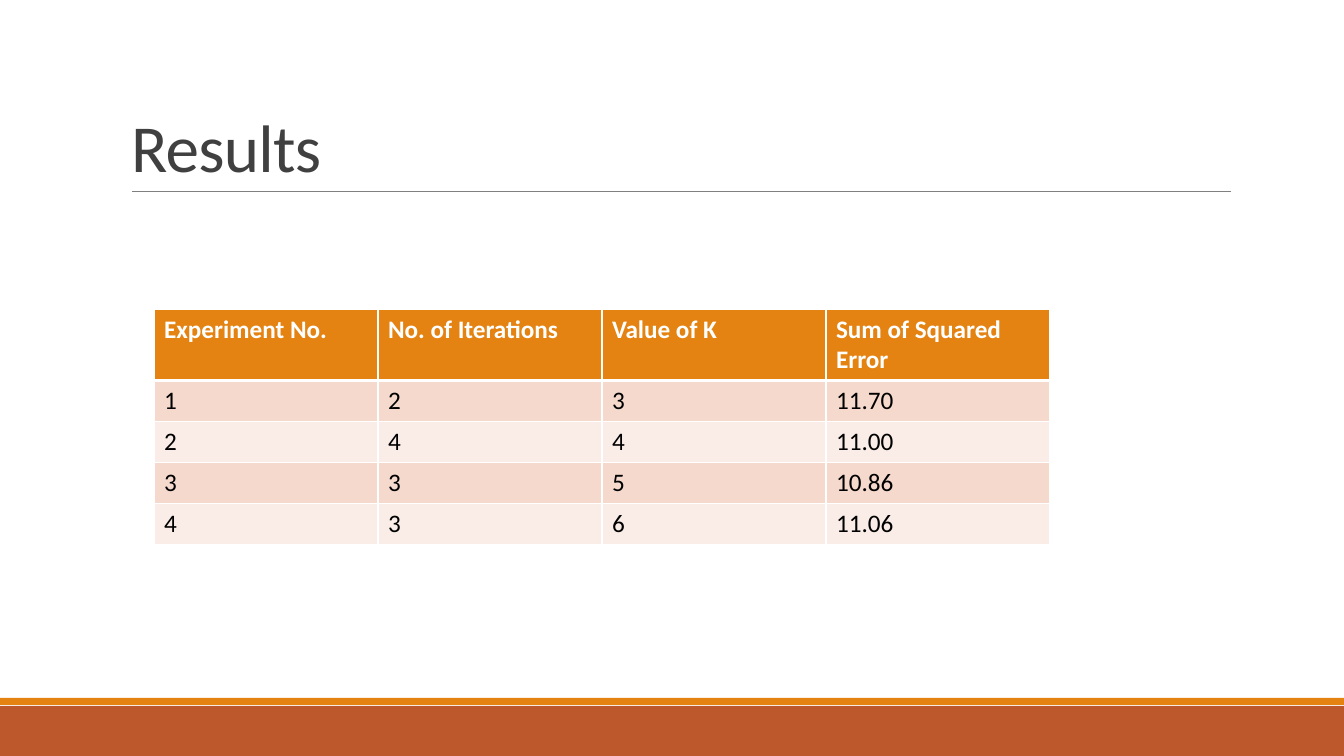
import pptx
import pptx.dml.color
import pptx.enum.shapes
import pptx.enum.text
import pptx.oxml
import pptx.oxml.ns
import pptx.util

PX = 12192000 / 1344  # EMU per px
FONT = "Calibri"
WHITE, ORANGE, RUST = "FFFFFF", "E48312", "BD582C"
BANDS = ("F5D9CC", "FAEDE7")

RESULTS = [
    ("Experiment No.", "No. of Iterations", "Value of K", "Sum of Squared Error"),
    ("1", "2", "3", "11.70"),
    ("2", "4", "4", "11.00"),
    ("3", "3", "5", "10.86"),
    ("4", "3", "6", "11.06"),
]


def px(length):
    return pptx.util.Emu(round(length * PX))


def color(hex_string):
    return pptx.dml.color.RGBColor.from_string(hex_string)


def add_span(para, text, size, hex_string, bold=False):
    span = para.add_run()
    span.text = text
    span.font.name = FONT
    span.font.size = pptx.util.Pt(size)
    span.font.bold = bold
    span.font.color.rgb = color(hex_string)
    return span


def add_footer_bands(slide, left, top, width, height):
    """Rust band with a thin orange stripe along its top."""
    stripe = 7
    gap = 1
    for y, band_height, fill in (
        (top + stripe + gap, height - stripe - gap, RUST),
        (top, stripe, ORANGE),
    ):
        band = slide.shapes.add_shape(
            pptx.enum.shapes.MSO_SHAPE.RECTANGLE,
            px(left), px(y), px(width), px(band_height))
        band.shadow.inherit = False
        band.fill.solid()
        band.fill.fore_color.rgb = color(fill)
        band.line.fill.background()


def add_title(slide, text, left, top, width, height):
    """Bottom-anchored title with a rule under it."""
    box = slide.shapes.title
    box.left, box.top, box.width, box.height = map(px, (left, top, width, height))
    frame = box.text_frame
    frame.word_wrap = True
    frame.auto_size = pptx.enum.text.MSO_AUTO_SIZE.NONE
    frame.vertical_anchor = pptx.enum.text.MSO_ANCHOR.BOTTOM
    para = frame.paragraphs[0]
    para.alignment = pptx.enum.text.PP_ALIGN.LEFT
    para.line_spacing = 0.85
    span = add_span(para, text, 48, "404040")
    span.font._element.set("spc", "-50")

    # Rule
    y = px(top + height)
    rule = slide.shapes.add_connector(
        pptx.enum.shapes.MSO_CONNECTOR.STRAIGHT,
        px(left + 11), y, px(left + width + 1), y)
    rule.line.color.rgb = color("808080")
    rule.line.width = pptx.util.Pt(0.5)
    rule._element.spPr.append(pptx.oxml.parse_xml(
        f'<a:effectLst {pptx.oxml.ns.nsdecls("a")}/>'))


def set_borders(cell, top, bottom):
    """White borders; top and bottom widths in points, sides 1 pt."""
    properties = cell._tc.get_or_add_tcPr()
    for side, points in (("L", 1), ("R", 1), ("T", top), ("B", bottom)):
        properties.append(pptx.oxml.parse_xml(
            f'<a:ln{side} {pptx.oxml.ns.nsdecls("a")} w="{pptx.util.Pt(points)}">'
            f'<a:solidFill><a:srgbClr val="{WHITE}"/></a:solidFill></a:ln{side}>'))


def add_results_table(slide, rows, left, top, width, header_height, row_height):
    height = header_height + row_height * (len(rows) - 1)
    table = slide.shapes.add_table(
        len(rows), len(rows[0]), px(left), px(top), px(width), px(height)).table
    for column in table.columns:
        column.width = px(width / len(rows[0]))
    for r, values in enumerate(rows):
        header = r == 0
        table.rows[r].height = px(header_height if header else row_height)
        for c, value in enumerate(values):
            cell = table.cell(r, c)
            set_borders(cell, top=3 if r == 1 else 1, bottom=3 if header else 1)
            cell.fill.solid()
            cell.fill.fore_color.rgb = color(ORANGE if header else BANDS[(r - 1) % 2])
            add_span(cell.text_frame.paragraphs[0], value, 18,
                     WHITE if header else "000000", bold=header)


def main():
    deck = pptx.Presentation()
    deck.slide_width, deck.slide_height = px(1344), px(756)
    slide = deck.slides.add_slide(deck.slide_layouts.get_by_name("Title Only"))
    slide.background.fill.solid()
    slide.background.fill.fore_color.rgb = color(WHITE)

    add_footer_bands(slide, 0, 698, 1344, 58)
    add_title(slide, "Results", 121, 31, 1109, 160)
    add_results_table(slide, RESULTS, 154, 309, 896, 70, 41)
    deck.save("out.pptx")


if __name__ == "__main__":
    main()
